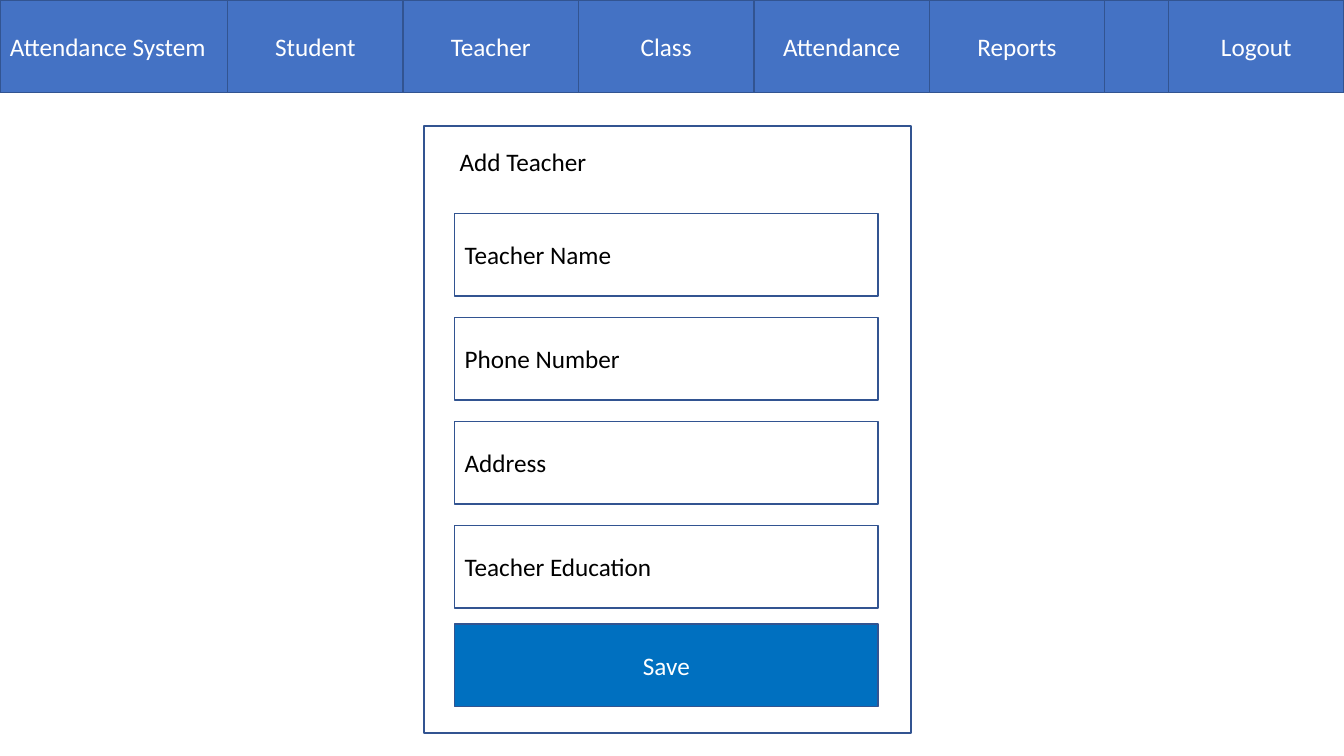
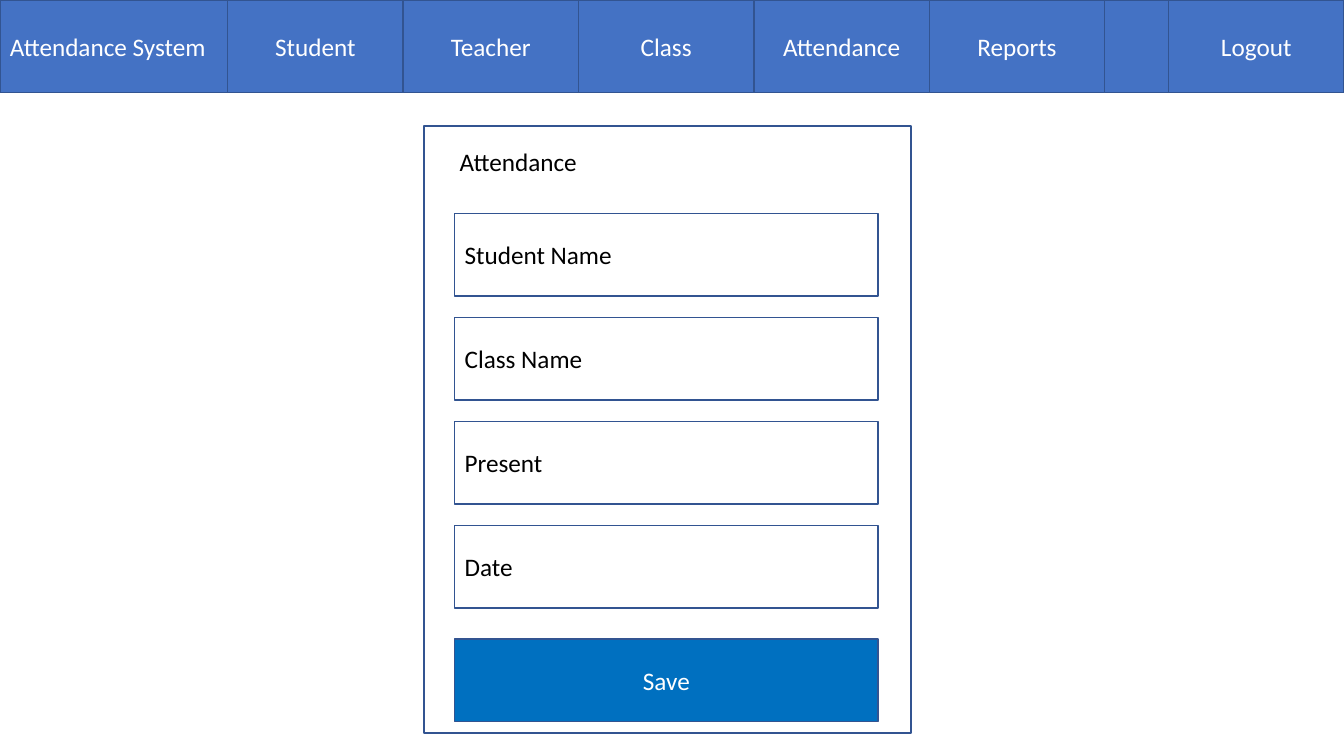
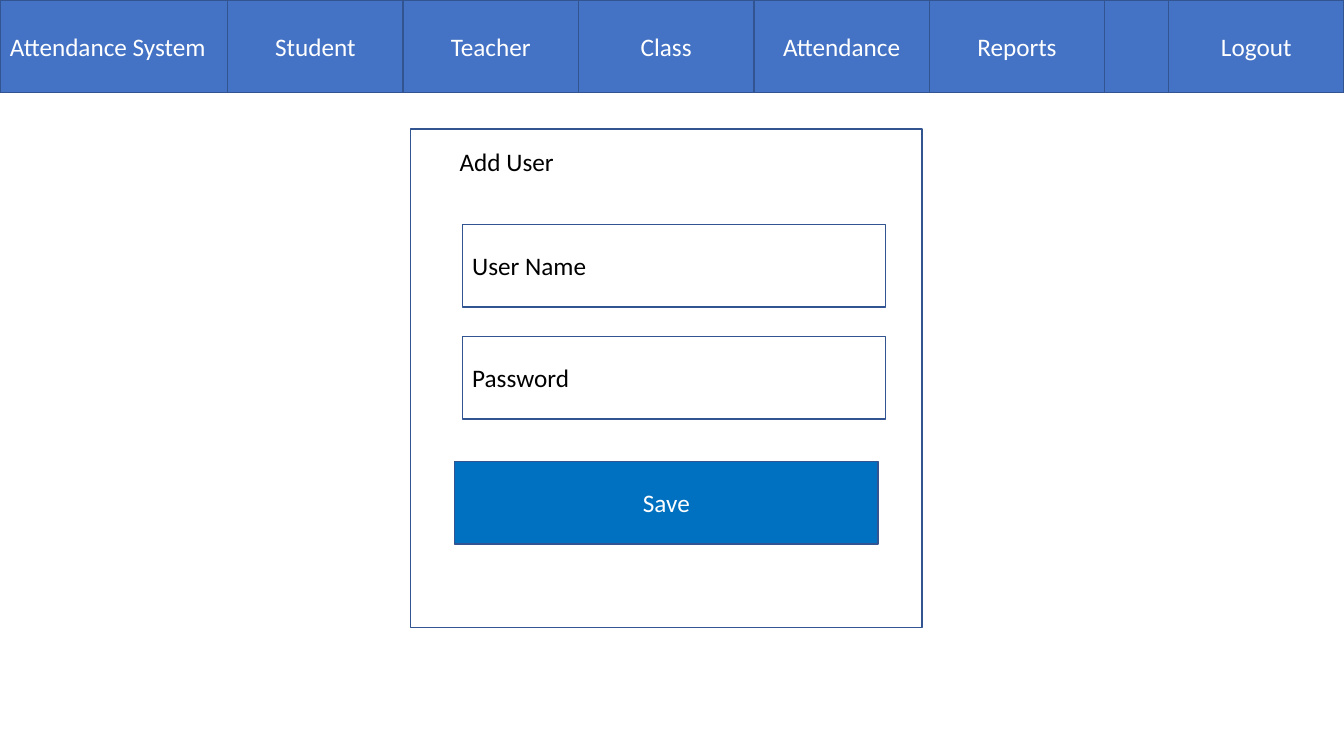
from dataclasses import dataclass

from pptx import Presentation
from pptx import util as u
from pptx.dml.color import RGBColor
from pptx.enum import shapes, text


@dataclass(frozen=True)
class Theme:
    """Colours and type shared by all slides."""
    bar: RGBColor = RGBColor(0x44, 0x72, 0xC4)
    button: RGBColor = RGBColor(0x00, 0x70, 0xC0)
    outline: RGBColor = RGBColor(0x32, 0x54, 0x91)
    white: RGBColor = RGBColor(0xFF, 0xFF, 0xFF)
    black: RGBColor = RGBColor(0x00, 0x00, 0x00)
    font: str = "Calibri"
    size: u.Pt = u.Pt(18)
    line: u.Pt = u.Pt(1)


theme = Theme()
LEFT, CENTER = text.PP_ALIGN.LEFT, text.PP_ALIGN.CENTER

SLIDE_WIDTH, SLIDE_HEIGHT = 33.87, 19.05
BAR_HEIGHT = 2.34
MENU_LEFT, MENU_WIDTH = 5.74, 4.42
MENU = ["Student", "Teacher", "Class", "Attendance", "Reports"]
CONTROL_LEFT, CONTROL_WIDTH, CONTROL_HEIGHT = 11.46, 10.67, 2.08

# Lengths in centimetres; card is left, top, width, height.
tall_form = {"card": (10.69, 3.18, 12.27, 15.29), "field_left": CONTROL_LEFT,
             "field_top": 5.38, "pitch": 2.62}
short_form = {"card": (10.34, 3.25, 12.9, 12.57), "field_left": 11.65,
              "field_top": 5.66, "pitch": 2.82}
forms = [
    {**tall_form, "heading": "Add Teacher", "save_top": 15.72,
     "fields": ["Teacher Name", "Phone Number", "Address", "Teacher Education"]},
    {**tall_form, "heading": "Attendance", "save_top": 16.1,
     "fields": ["Student Name", "Class Name", "Present", "Date"]},
    {**short_form, "heading": "Add User", "save_top": 11.63,
     "fields": ["User Name", "Password"]},
]


def write(shape, words, colour, align, anchor):
    """Put one styled run of text into a shape."""
    frame = shape.text_frame
    frame.word_wrap = True
    frame.auto_size = text.MSO_AUTO_SIZE.NONE
    frame.vertical_anchor = anchor
    paragraph = frame.paragraphs[0]
    paragraph.alignment = align
    run = paragraph.add_run()
    run.text = words
    run.font.name = theme.font
    run.font.size = theme.size
    run.font.color.rgb = colour


def add_box(slide, left, top, width, height, fill, words="", colour=theme.white, align=CENTER):
    """Draw an outlined rectangle, placed in centimetres, with optional text."""
    box = slide.shapes.add_shape(shapes.MSO_SHAPE.RECTANGLE,
                                 u.Cm(left), u.Cm(top), u.Cm(width), u.Cm(height))
    box.shadow.inherit = False
    box.fill.solid()
    box.fill.fore_color.rgb = fill
    box.line.color.rgb = theme.outline
    box.line.width = theme.line
    if words:
        write(box, words, colour, align, text.MSO_ANCHOR.MIDDLE)


presentation = Presentation()
presentation.slide_width = u.Cm(SLIDE_WIDTH)
presentation.slide_height = u.Cm(SLIDE_HEIGHT)
title_only = presentation.slide_layouts[5]

for form in forms:
    slide = presentation.slides.add_slide(title_only)

    # Navigation bar
    add_box(slide, 0, 0, SLIDE_WIDTH, BAR_HEIGHT, theme.bar, "Attendance System", align=LEFT)
    for index, item in enumerate(MENU):
        add_box(slide, MENU_LEFT + index * MENU_WIDTH, 0, MENU_WIDTH, BAR_HEIGHT, theme.bar, item)
    add_box(slide, SLIDE_WIDTH - MENU_WIDTH, 0, MENU_WIDTH, BAR_HEIGHT, theme.bar, "Logout")

    # Card with its heading brought in front of it
    add_box(slide, *form["card"], theme.white)
    heading = slide.shapes.title
    heading.left, heading.top = u.Cm(11.33), u.Cm(3.56)
    heading.width, heading.height = u.Cm(6.1), u.Cm(1.02)
    write(heading, form["heading"], theme.black, LEFT, text.MSO_ANCHOR.TOP)
    heading.element.getparent().append(heading.element)

    # Fields and button
    for index, label in enumerate(form["fields"]):
        add_box(slide, form["field_left"], form["field_top"] + index * form["pitch"],
                CONTROL_WIDTH, CONTROL_HEIGHT, theme.white, label, theme.black, LEFT)
    add_box(slide, CONTROL_LEFT, form["save_top"], CONTROL_WIDTH, CONTROL_HEIGHT,
            theme.button, "Save")

presentation.save("out.pptx")
